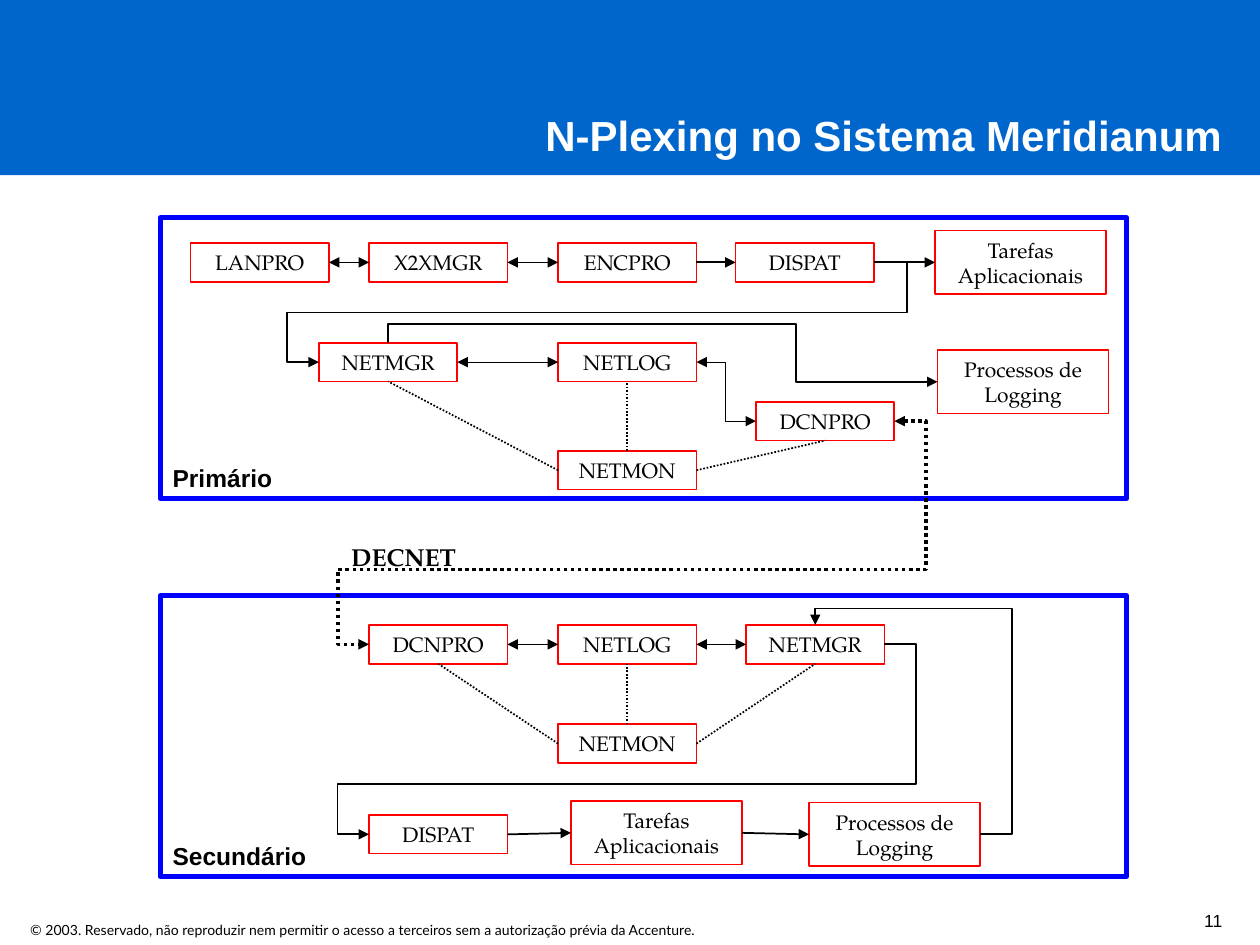
import pptx
import pptx.util
from lxml import etree
from pptx.dml.color import RGBColor
from pptx.enum.dml import MSO_LINE
from pptx.enum.shapes import MSO_CONNECTOR, MSO_SHAPE
from pptx.enum.text import MSO_ANCHOR, PP_ALIGN
from pptx.oxml.ns import qn
from pptx.util import Cm, Pt

COLORS = {"band": "0066CC", "frame": "0000FF", "node": "FF0000",
          "text": "000000", "title": "FFFFFF"}
SANS, SERIF, FOOT = "Arial", "TeX Gyre Pagella", "Lato"
TOP, LEFT, BOTTOM, RIGHT = range(4)
SMALL, LARGE = (2.79, 0.78), (3.45, 1.28)
FRAME = (19.48, 5.66)


def color(name):
    return RGBColor.from_string(COLORS[name])


def write(shape, text, size, font, bold=False, tint="text",
          align=PP_ALIGN.LEFT, anchor=MSO_ANCHOR.MIDDLE, wrap=True):
    frame = shape.text_frame
    frame.text = text
    frame.word_wrap = wrap
    frame.vertical_anchor = anchor
    para = frame.paragraphs[0]
    para.alignment = align
    para.font.size, para.font.name, para.font.bold = Pt(size), font, bold
    para.font.color.rgb = color(tint)


def label(slide, box, text, size, font, **style):
    write(slide.shapes.add_textbox(*map(Cm, box)), text, size, font, **style)


def rect(slide, box, line=None, width=1, fill=None):
    shape = slide.shapes.add_shape(MSO_SHAPE.RECTANGLE, *map(Cm, box))
    shape.shadow.inherit = False
    if fill:
        shape.fill.solid()
        shape.fill.fore_color.rgb = color(fill)
    else:
        shape.fill.background()
    if line:
        shape.line.color.rgb = color(line)
        shape.line.width = Pt(width)
    else:
        shape.line.fill.background()
    return shape


def side(shape, site):
    """Middle of one side of a shape, as x and y."""
    x = {LEFT: 0, RIGHT: 2}.get(site, 1)
    y = {TOP: 0, BOTTOM: 2}.get(site, 1)
    return shape.left + shape.width * x // 2, shape.top + shape.height * y // 2


def style(link, width, ends, dots):
    """Ends holds any of "head" and "tail"."""
    link.line.color.rgb = color("text")
    link.line.width = Pt(width)
    if dots:
        link.line.dash_style = MSO_LINE.ROUND_DOT
    line = link.line._get_or_add_ln()
    for end in ("head", "tail"):
        if end in ends:
            etree.SubElement(line, qn(f"a:{end}End"), type="triangle")
    etree.SubElement(link._element.spPr, qn("a:effectLst"))


def join(slide, start, out, stop, into, width=1, ends="tail", dots=False):
    link = slide.shapes.add_connector(MSO_CONNECTOR.STRAIGHT, 0, 0, 0, 0)
    link.begin_connect(start, out)
    link.end_connect(stop, into)
    style(link, width, ends, dots)


def elbow(slide, start, out, stop, into, turns, origin=(0, 0),
          width=1, ends="tail", dots=False):
    """Bent connector; turns are x, y, x ... in cm from the origin."""
    a, b = side(start, out), side(stop, into)
    link = slide.shapes.add_connector(MSO_CONNECTOR.ELBOW, *a, *b)
    geom = link._element.spPr.find(qn("a:prstGeom"))
    geom.set("prst", f"bentConnector{len(turns) + 2}")
    guides = geom.find(qn("a:avLst"))
    for i, turn in enumerate(turns):
        axis = i % 2
        ratio = (Cm(origin[axis] + turn) - a[axis]) / (b[axis] - a[axis])
        etree.SubElement(guides, qn("a:gd"), name=f"adj{i + 1}",
                         fmla=f"val {round(ratio * 100000)}")
    style(link, width, ends, dots)


def panel(slide, origin, name, nodes):
    """Named frame with its nodes; returns the nodes by name."""
    frame = rect(slide, (*origin, *FRAME), "frame", 3)
    write(frame, name, 14, SANS, bold=True, anchor=MSO_ANCHOR.BOTTOM)
    made = {}
    for text, x, y in nodes:
        size = LARGE if " " in text else SMALL
        node = rect(slide, (origin[0] + x, origin[1] + y, *size), "node")
        write(node, text, 12, SERIF, align=PP_ALIGN.CENTER)
        made[text.split()[0]] = node
    return made


def watch(slide, nodes, left, right):
    """Dotted lines from NETMON to the nodes it monitors."""
    hub = nodes["NETMON"]
    for site, name in ((LEFT, left), (TOP, "NETLOG"), (RIGHT, right)):
        join(slide, hub, site, nodes[name], BOTTOM, ends="", dots=True)


def chain(slide, nodes, names, **look):
    for a, b in zip(names, names[1:]):
        join(slide, nodes[a], RIGHT, nodes[b], LEFT, **look)


def primary(slide, origin):
    row, mid = 0.51, 2.52
    nodes = panel(slide, origin, "Primário", [
        ("LANPRO", 0.61, row), ("X2XMGR", 4.21, row), ("ENCPRO", 8.02, row),
        ("DISPAT", 11.6, row), ("Tarefas Aplicacionais", 15.62, 0.26),
        ("NETMGR", 3.2, mid), ("NETLOG", 8.02, mid), ("DCNPRO", 12.01, 3.71),
        ("NETMON", 8.02, 4.7), ("Processos de Logging", 15.67, 2.67)])
    both = {"width": 0.25, "ends": "head tail"}
    chain(slide, nodes, ("LANPRO", "X2XMGR", "ENCPRO"), **both)
    chain(slide, nodes, ("ENCPRO", "DISPAT", "Tarefas"))
    chain(slide, nodes, ("NETMGR", "NETLOG"), **both)
    watch(slide, nodes, "NETMGR", "DCNPRO")
    elbow(slide, nodes["DISPAT"], RIGHT, nodes["NETMGR"], LEFT,
          (15.06, 1.91, 2.56), origin)
    elbow(slide, nodes["NETLOG"], RIGHT, nodes["DCNPRO"], LEFT,
          (11.4,), origin, **both)
    elbow(slide, nodes["Processos"], LEFT, nodes["NETMGR"], TOP,
          (12.82, 2.14), origin, ends="head")
    return nodes


def standby(slide, origin):
    row = 0.59
    nodes = panel(slide, origin, "Secundário", [
        ("DCNPRO", 4.21, row), ("NETLOG", 8.02, row), ("NETMGR", 11.81, row),
        ("NETMON", 8.02, 2.59), ("DISPAT", 4.21, 4.42),
        ("Tarefas Aplicacionais", 8.28, 4.14),
        ("Processos de Logging", 13.08, 4.17)])
    chain(slide, nodes, ("DCNPRO", "NETLOG", "NETMGR"),
          width=0.25, ends="head tail")
    chain(slide, nodes, ("DISPAT", "Tarefas", "Processos"))
    watch(slide, nodes, "DCNPRO", "NETMGR")
    elbow(slide, nodes["NETMGR"], RIGHT, nodes["DISPAT"], LEFT,
          (15.24, 3.79, 3.58), origin)
    elbow(slide, nodes["Processos"], RIGHT, nodes["NETMGR"], TOP,
          (17.17, 0.26), origin)
    return nodes


def header(slide, text):
    band = rect(slide, (0, 0, 25.4, 3.53), fill="band")
    slide.shapes._spTree.insert(2, band._element)
    title = slide.shapes.title
    title.left, title.top, title.width, title.height = map(
        Cm, (6.32, 2.08, 18.57, 1.27))
    write(title, text, 24, SANS, bold=True, tint="title",
          align=PP_ALIGN.RIGHT)


def footer(slide):
    label(slide, (0.36, 18.44, 15.06, 0.61),
          "© 2003. Reservado, não reproduzir nem permitir o acesso a "
          "terceiros sem a autorização prévia da Accenture.",
          8, FOOT, wrap=False)
    label(slide, (20.19, 18.14, 4.7, 0.76), "11", 10, SANS,
          align=PP_ALIGN.RIGHT, anchor=MSO_ANCHOR.BOTTOM)


def main():
    deck = pptx.Presentation()
    deck.slide_width, deck.slide_height = Cm(25.4), Cm(19.05)
    slide = deck.slides.add_slide(deck.slide_layouts[5])
    header(slide, "N-Plexing no Sistema Meridianum")
    first = primary(slide, (3.23, 4.39))
    second = standby(slide, (3.23, 12.01))
    label(slide, (6.83, 10.8, 4.19, 0.86), "DECNET", 14, SERIF, bold=True)
    elbow(slide, first["DCNPRO"], RIGHT, second["DCNPRO"], LEFT,
          (18.67, 11.48, 6.81), width=2, ends="head tail", dots=True)
    footer(slide)
    deck.save("out.pptx")


if __name__ == "__main__":
    main()
